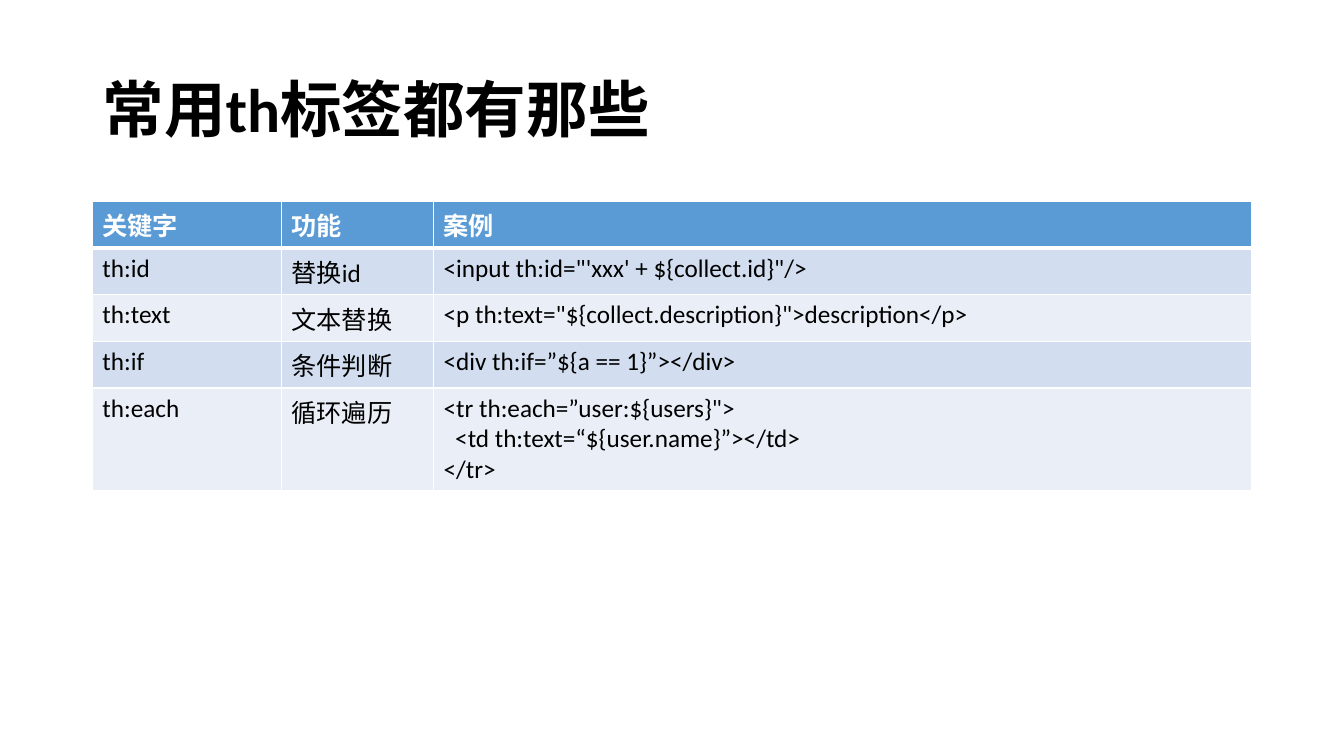
from lxml.etree import SubElement
from pptx import Presentation
from pptx.dml.color import RGBColor
from pptx.enum.text import MSO_ANCHOR, PP_ALIGN
from pptx.oxml.ns import qn
from pptx.util import Pt

PX = 9525  # EMU per px, 96 px to the inch
FONT = "Calibri"
BLACK, WHITE = "000000", "FFFFFF"
HEADER_FILL, BAND_FILLS = "5B9BD5", ("D2DEEF", "EAEFF7")
LEFT, WIDTH = 88, 1104
COLUMN_WIDTHS = (180, 145, 779)
ROW_HEIGHT = 39
CODE_INDENT = 11

TITLE = "常用th标签都有那些"
# Each cell is a list of (text, indent level) lines
ROWS = [
    [[("关键字", 0)], [("功能", 0)], [("案例", 0)]],
    [[("th:id", 0)], [("替换id", 0)],
     [("<input th:id=\"'xxx' + ${collect.id}\"/>", 0)]],
    [[("th:text", 0)], [("文本替换", 0)],
     [('<p th:text="${collect.description}">description</p>', 0)]],
    [[("th:if", 0)], [("条件判断", 0)],
     [("<div th:if=”${a == 1}”></div>", 0)]],
    [[("th:each", 0)], [("循环遍历", 0)],
     [('<tr th:each=”user:${users}">', 0),
      ("<td th:text=“${user.name}”></td>", 1),
      ("</tr>", 0)]],
]


def px(n):
    return n * PX


def rgb(color):
    return RGBColor.from_string(color)


def add_run(p, text, size, color, bold):
    r = p.add_run()
    r.text = text
    r.font.name = FONT
    r.font.size = Pt(size)
    r.font.bold = bold
    r.font.color.rgb = rgb(color)


def set_borders(cell, top, bottom):
    """Draw white borders; they must precede the fill in the cell XML."""
    tcPr = cell._tc.get_or_add_tcPr()
    for side, width in (("L", 1), ("R", 1), ("T", top), ("B", bottom)):
        ln = SubElement(tcPr, qn(f"a:ln{side}"), w=str(Pt(width)))
        fill = SubElement(ln, qn("a:solidFill"))
        SubElement(fill, qn("a:srgbClr"), val=WHITE)


def fill_cell(cell, lines, row):
    header = row == 0
    set_borders(cell, top=3 if row == 1 else 1, bottom=3 if header else 1)
    cell.fill.solid()
    cell.fill.fore_color.rgb = rgb(HEADER_FILL if header else BAND_FILLS[(row - 1) % 2])
    tf = cell.text_frame
    for i, (text, level) in enumerate(lines):
        p = tf.add_paragraph() if i else tf.paragraphs[0]
        if level:
            p._p.get_or_add_pPr().set("marL", str(px(level * CODE_INDENT)))
        add_run(p, text, 18, WHITE if header else BLACK, header)


def set_title(s, text):
    sp = s.shapes.title
    sp.left, sp.top, sp.width, sp.height = px(LEFT), px(38), px(WIDTH), px(139)
    tf = sp.text_frame
    tf.word_wrap = True
    tf.vertical_anchor = MSO_ANCHOR.MIDDLE
    p = tf.paragraphs[0]
    p.alignment = PP_ALIGN.LEFT
    p.line_spacing = 0.9
    add_run(p, text, 44, BLACK, True)


def add_tag_table(s, rows):
    table = s.shapes.add_table(len(rows), len(COLUMN_WIDTHS), px(LEFT), px(192),
                               px(WIDTH), px(ROW_HEIGHT * len(rows))).table
    for column, width in zip(table.columns, COLUMN_WIDTHS):
        column.width = px(width)
    for r, cells in enumerate(rows):
        table.rows[r].height = px(ROW_HEIGHT)
        for c, lines in enumerate(cells):
            fill_cell(table.cell(r, c), lines, r)


def main():
    prs = Presentation()
    prs.slide_width, prs.slide_height = px(1280), px(720)
    s = prs.slides.add_slide(prs.slide_layouts[5])  # title only
    set_title(s, TITLE)
    add_tag_table(s, ROWS)
    prs.save("out.pptx")


if __name__ == "__main__":
    main()
